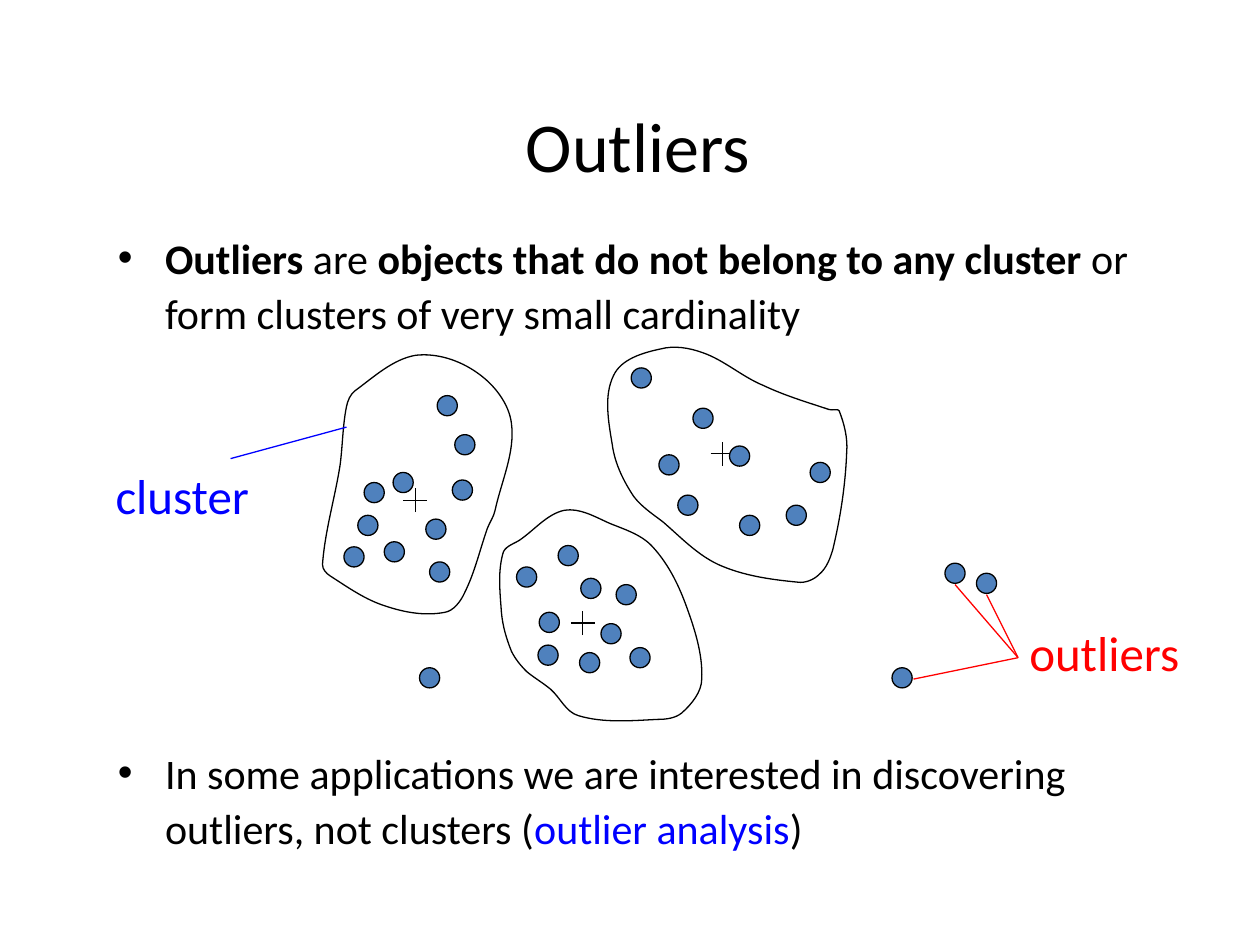
from math import dist

from pptx import Presentation
from pptx.dml.color import RGBColor
from pptx.enum.shapes import MSO_CONNECTOR, MSO_SHAPE
from pptx.enum.text import MSO_AUTO_SIZE, PP_ALIGN
from pptx.oxml.xmlchemy import OxmlElement
from pptx.util import Cm, Pt

COLORS = {"black": "000000", "blue": "0000FF", "red": "FF0000", "dot": "4F81BD"}
STEP = Cm(0.0254)  # drawing grid: 1000 x 750 steps on the slide
DOT = 16
CROSS_ARM = 9.5

# Points that each smooth, closed outline passes through
OUTLINES = {
    "right": [(666, 326), (672, 359), (661, 436), (650, 456), (633, 462),
              (570, 448), (526, 414), (503, 394), (486, 353), (487, 298),
              (524, 277), (558, 280), (606, 306), (658, 325)],
    "bottom": [(437, 547), (418, 533), (406, 517), (398, 486), (399, 440),
               (412, 429), (448, 405), (483, 415), (518, 434), (544, 479),
               (557, 539), (541, 566), (522, 571), (459, 568)],
    "left": [(387, 419), (369, 470), (353, 486), (306, 481), (262, 457),
             (256, 448), (270, 369), (275, 323), (282, 310), (330, 282),
             (379, 296), (406, 336), (393, 405)],
}
CENTROIDS = [(329.5, 397), (573.5, 360), (462.5, 494.5)]
DOTS = {
    "left": [(305, 430), (284, 409), (338, 412), (312, 375), (273, 434),
             (289, 383), (341, 446), (359, 381), (361, 345), (347, 314)],
    "right": [(550, 324), (538, 393), (579, 354), (523, 361), (643, 367),
              (624, 401), (587, 409), (501, 292)],
    "bottom": [(410, 450), (489, 464), (460, 518), (477, 495), (428, 486),
               (427, 512), (443, 433), (461, 459), (500, 514)],
    "outliers": [(708, 530), (333, 530), (750, 447), (775, 455)],
}


def add_runs(p, runs, size):
    for text, values in runs:
        r = p.add_run()
        r.text = text
        fmt = {"name": "Calibri", "size": Pt(size), "bold": False, **values}
        color = fmt.pop("color", "black")
        for name, value in fmt.items():
            setattr(r.font, name, value)
        r.font.color.rgb = RGBColor.from_string(COLORS[color])


def add_line(x1, y1, x2, y2, color):
    line = s.shapes.add_connector(
        MSO_CONNECTOR.STRAIGHT, *[int(v * STEP) for v in (x1, y1, x2, y2)])
    line.line.color.rgb = RGBColor.from_string(COLORS[color])
    line.line.width = Pt(0.75)
    line._element.spPr.append(OxmlElement("a:effectLst"))


prs = Presentation()
prs.slide_width, prs.slide_height = Cm(25.4), Cm(19.05)
s = prs.slides.add_slide(prs.slide_layouts[1])

# Title and list
title, body = s.placeholders
boxes = [(title, (1.9, 1.48, 22.23, 2.86)), (body, (2.12, 4.45, 22.01, 13.97))]
for sp, place in boxes:
    for name, value in zip(("left", "top", "width", "height"), place):
        setattr(sp, name, Cm(value))
    sp.text_frame.auto_size = MSO_AUTO_SIZE.NONE
p = title.text_frame.paragraphs[0]
p.alignment = PP_ALIGN.CENTER
add_runs(p, [("Outliers ", {})], 40)

bullets = [
    (6, [("Outliers", {"bold": True}),
         (" are ", {}),
         ("objects that do not belong to any cluster ", {"bold": True}),
         ("or form clusters of very small cardinality", {})]),
    (231, [("In some applications we are interested in discovering outliers, "
            "not clusters (", {}),
           ("outlier analysis", {"color": "blue"}),
           (")", {})]),
]
tf = body.text_frame
for i, (space, runs) in enumerate(bullets):
    p = tf.add_paragraph() if i else tf.paragraphs[0]
    p.space_before = Pt(space)
    p.line_spacing = 1.1
    add_runs(p, runs, 24)

# Cluster outlines
for knots in OUTLINES.values():
    # Each curve leaves and meets its knots parallel to the neighbours' chord
    points = []
    for i, b in enumerate(knots):
        a, c, d = (knots[(i + k) % len(knots)] for k in (-1, 1, 2))
        reach = dist(b, c) / 3
        leave, meet = reach / dist(a, c), reach / dist(b, d)
        points += [(b[0] + (c[0] - a[0]) * leave, b[1] + (c[1] - a[1]) * leave),
                   (c[0] - (d[0] - b[0]) * meet, c[1] - (d[1] - b[1]) * meet),
                   c]
    builder = s.shapes.build_freeform(*knots[0], scale=STEP)
    builder.add_line_segments(points, close=True)
    sp = builder.convert_to_shape()
    sp.shadow.inherit = False
    sp.fill.background()
    sp.line.color.rgb = RGBColor.from_string(COLORS["black"])
    sp.line.width = Pt(0.75)
    # Merge every three straight segments into one Bezier curve
    segments = sp._element.xpath(".//a:lnTo")
    for i in range(0, len(points), 3):
        curve = OxmlElement("a:cubicBezTo")
        segments[i].addprevious(curve)
        for segment in segments[i:i + 3]:
            curve.append(segment[0])
            segment.getparent().remove(segment)

# Centroid crosses
for x, y in CENTROIDS:
    add_line(x - CROSS_ARM, y, x + CROSS_ARM, y, "black")
    add_line(x, y + CROSS_ARM, x, y - CROSS_ARM, "black")

# Data points
for dots in DOTS.values():
    for x, y in dots:
        sp = s.shapes.add_shape(MSO_SHAPE.FLOWCHART_CONNECTOR,
                                x * STEP, y * STEP, DOT * STEP, DOT * STEP)
        sp.shadow.inherit = False
        sp.fill.solid()
        sp.fill.fore_color.rgb = RGBColor.from_string(COLORS["dot"])
        sp.line.color.rgb = RGBColor.from_string(COLORS["black"])
        sp.line.width = Pt(0.75)

# Labels and their pointers
add_line(183, 364, 275, 339, "blue")
for x, y in [(725, 539), (758, 464), (783, 472)]:
    add_line(x, y, 808, 522, "red")
labels = [("cluster", "blue", 2.08, 9.25, 3.23),
          ("outliers", "red", 20.5, 12.42, 3.56)]
for text, color, left, top, width in labels:
    sp = s.shapes.add_textbox(Cm(left), Cm(top), Cm(width), Cm(1.45))
    tf = sp.text_frame
    tf.word_wrap = False
    tf.auto_size = MSO_AUTO_SIZE.SHAPE_TO_FIT_TEXT
    add_runs(tf.paragraphs[0], [(text, {"color": color})], 28)

prs.save("out.pptx")
